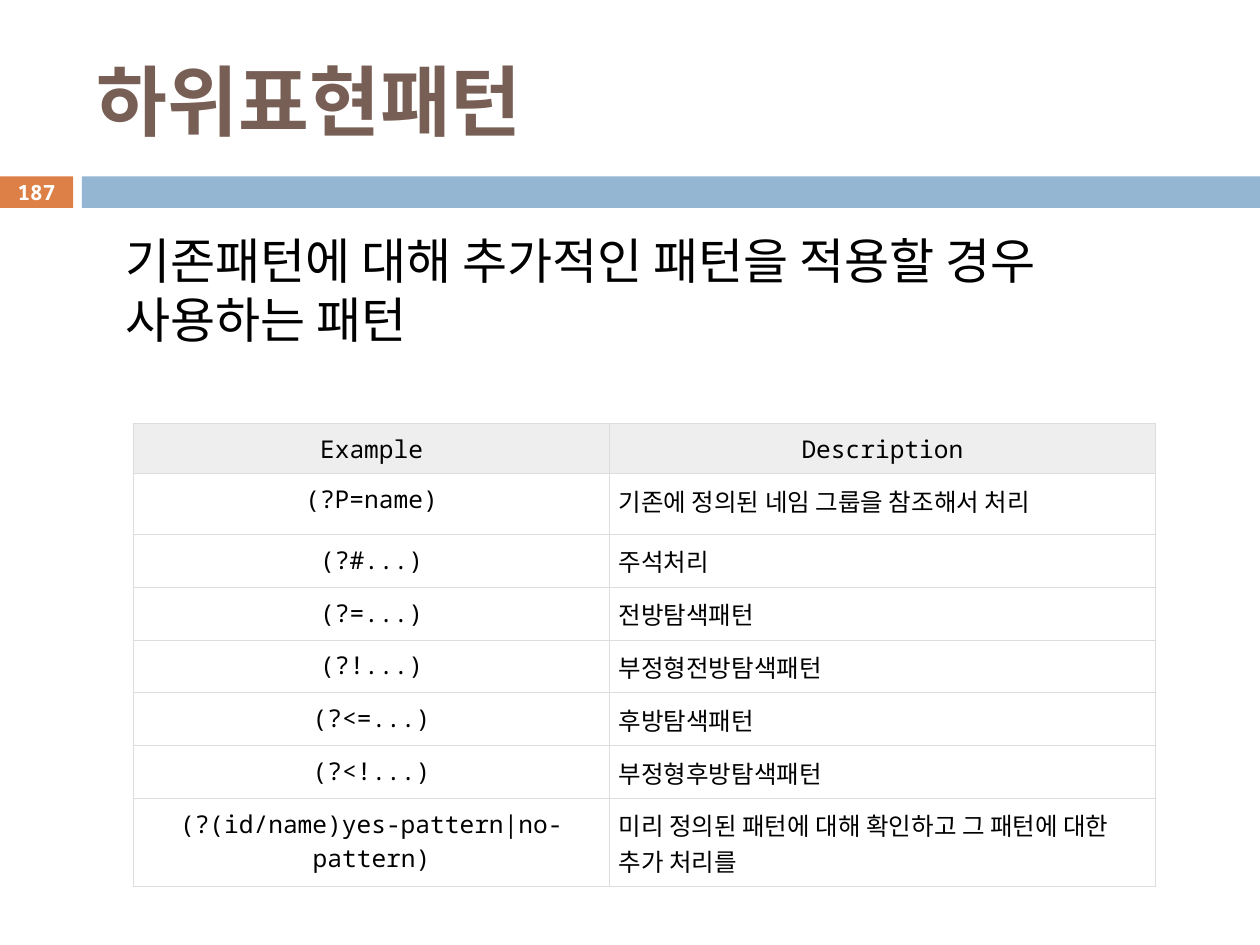
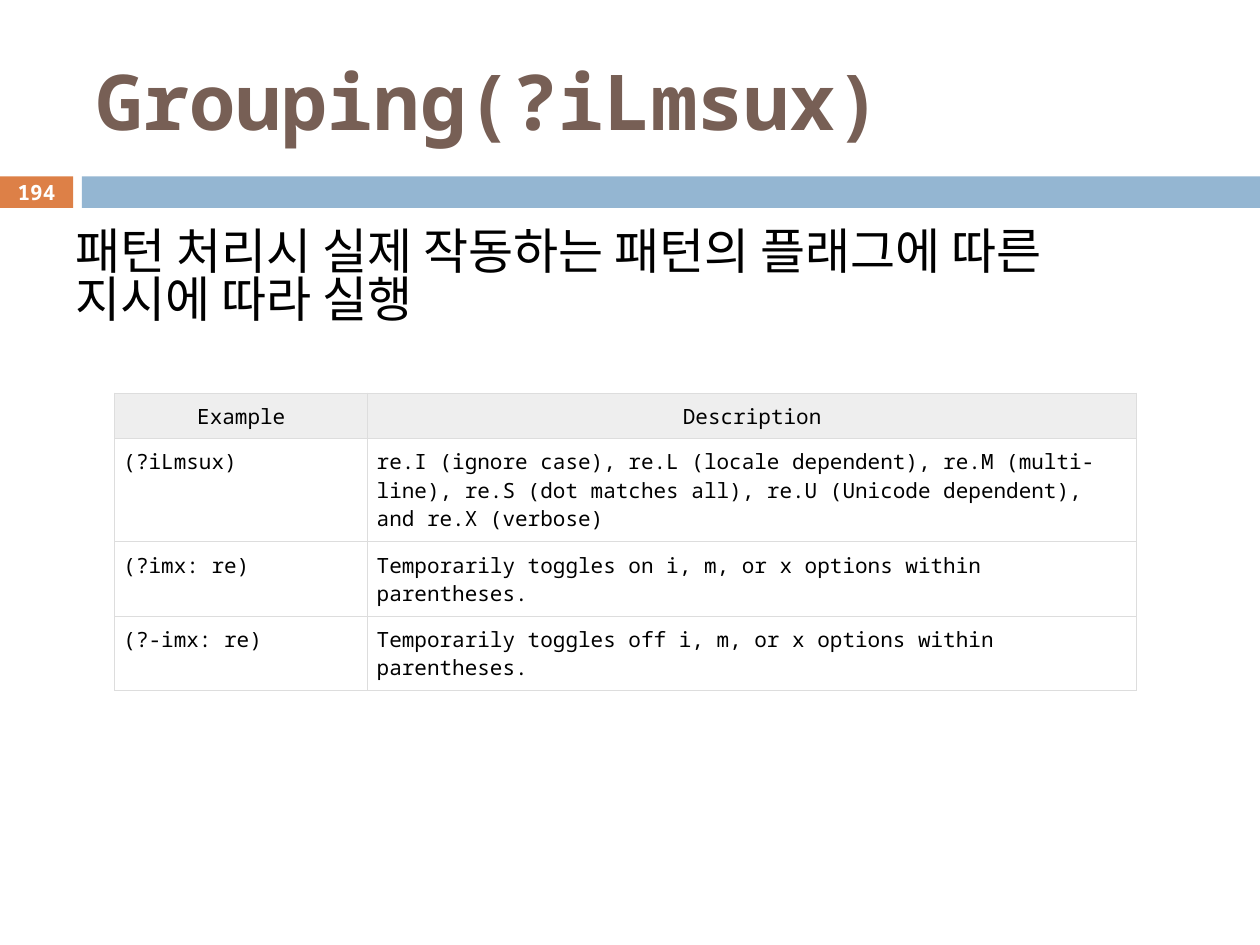
"""Build two slides on regular expression patterns, each with a lead sentence and a table."""
import pptx
import pptx.dml.color
import pptx.enum.shapes
import pptx.enum.text
import pptx.oxml
import pptx.oxml.ns
import pptx.util

Inches = pptx.util.Inches
FONT = "Noto Sans Mono"
BLACK, WHITE, BROWN = "000000", "FFFFFF", "775F55"
ORANGE, BLUE = "DD8047", "94B6D2"
HEADER_FILL, BORDER = "EEEEEE", "DDDDDD"
LEFT, CENTER = pptx.enum.text.PP_ALIGN.LEFT, pptx.enum.text.PP_ALIGN.CENTER
TOP, MIDDLE = pptx.enum.text.MSO_ANCHOR.TOP, pptx.enum.text.MSO_ANCHOR.MIDDLE


def color(value):
    return pptx.dml.color.RGBColor.from_string(value)


def write(frame, text, size, ink=BLACK, bold=False, align=LEFT, anchor=TOP):
    frame.word_wrap = True
    frame.vertical_anchor = anchor
    para = frame.paragraphs[0]
    para.text = text
    para.alignment = align
    para.font.name = FONT
    para.font.size = pptx.util.Pt(size)
    para.font.bold = bold
    para.font.color.rgb = color(ink)
    return para


pages = [
    {
        "title": "하위표현패턴", "number": "187",
        "lead": "기존패턴에 대해 추가적인 패턴을 적용할 경우 사용하는 패턴",
        "lead_box": (0.9, 1.78, 8.6, 1.97), "spacing": 1.0,
        "table_at": (1.06, 3.36), "size": 14, "example_align": CENTER,
        "columns": [3.78, 4.33], "heights": [0.4, 0.48] + [0.42] * 5 + [0.7],
        "rows": [
            ("(?P=name)", "기존에 정의된 네임 그룹을 참조해서 처리"),
            ("(?#...)", "주석처리"),
            ("(?=...)", "전방탐색패턴"),
            ("(?!...)", "부정형전방탐색패턴"),
            ("(?<=...)", "후방탐색패턴"),
            ("(?<!...)", "부정형후방탐색패턴"),
            ("(?(id/name)yes-pattern|no-pattern)",
             "미리 정의된 패턴에 대해 확인하고 그 패턴에 대한 추가 처리를"),
        ],
    },
    {
        "title": "Grouping(?iLmsux)", "number": "194",
        "lead": "패턴 처리시 실제 작동하는 패턴의 플래그에 따른 지시에 따라 실행",
        "lead_box": (0.5, 1.78, 9, 1.18), "spacing": 0.82,
        "table_at": (0.91, 3.12), "size": 12, "example_align": LEFT,
        "columns": [2.01, 6.1], "heights": [0.36, 0.82, 0.59, 0.59],
        "rows": [
            ("(?iLmsux)",
             "re.I (ignore case), re.L (locale dependent), re.M (multi-line), "
             "re.S (dot matches all), re.U (Unicode dependent), and re.X (verbose)"),
            ("(?imx: re)", "Temporarily toggles on i, m, or x options within parentheses."),
            ("(?-imx: re)", "Temporarily toggles off i, m, or x options within parentheses."),
        ],
    },
]

deck = pptx.Presentation()
deck.slide_width, deck.slide_height = Inches(10), Inches(7.5)

for content in pages:
    page = deck.slides.add_slide(deck.slide_layouts[6])

    for left, width, fill, label in [(0, 0.58, ORANGE, content["number"]), (0.65, 9.35, BLUE, "")]:
        band = page.shapes.add_shape(
            pptx.enum.shapes.MSO_SHAPE.RECTANGLE, Inches(left), Inches(1.4), Inches(width), Inches(0.25))
        band.shadow.inherit = False
        band.fill.solid()
        band.fill.fore_color.rgb = color(fill)
        band.line.fill.background()
        if label:
            frame = band.text_frame
            frame.margin_left = frame.margin_right = frame.margin_top = frame.margin_bottom = 0
            write(frame, label, 12, WHITE, True, CENTER, MIDDLE)

    title = page.shapes.add_textbox(Inches(0.67), Inches(0.25), Inches(8.92), Inches(1.08))
    write(title.text_frame, content["title"], 44, BROWN, True, anchor=MIDDLE)

    lead = page.shapes.add_textbox(*map(Inches, content["lead_box"]))
    write(lead.text_frame, content["lead"], 28).line_spacing = content["spacing"]

    rows = [("Example", "Description")] + content["rows"]
    left, top = content["table_at"]
    table = page.shapes.add_table(
        len(rows), 2, Inches(left), Inches(top),
        Inches(sum(content["columns"])), Inches(sum(content["heights"]))).table
    for column, width in zip(table.columns, content["columns"]):
        column.width = Inches(width)
    for row, height in zip(table.rows, content["heights"]):
        row.height = Inches(height)

    for row_index, texts in enumerate(rows):
        for column_index, text in enumerate(texts):
            cell = table.cell(row_index, column_index)
            cell.margin_left = cell.margin_right = Inches(0.07)
            cell.margin_top = cell.margin_bottom = Inches(0.07)
            align = CENTER if row_index == 0 else (content["example_align"], LEFT)[column_index]
            write(cell.text_frame, text, content["size"], align=align)
            properties = cell._tc.get_or_add_tcPr()
            for side in ("lnL", "lnR", "lnT", "lnB"):
                properties.append(pptx.oxml.parse_xml(
                    f'<a:{side} {pptx.oxml.ns.nsdecls("a")} w="7620"><a:solidFill>'
                    f'<a:srgbClr val="{BORDER}"/></a:solidFill></a:{side}>'))
            cell.fill.solid()
            cell.fill.fore_color.rgb = color(WHITE if row_index else HEADER_FILL)

deck.save("out.pptx")
